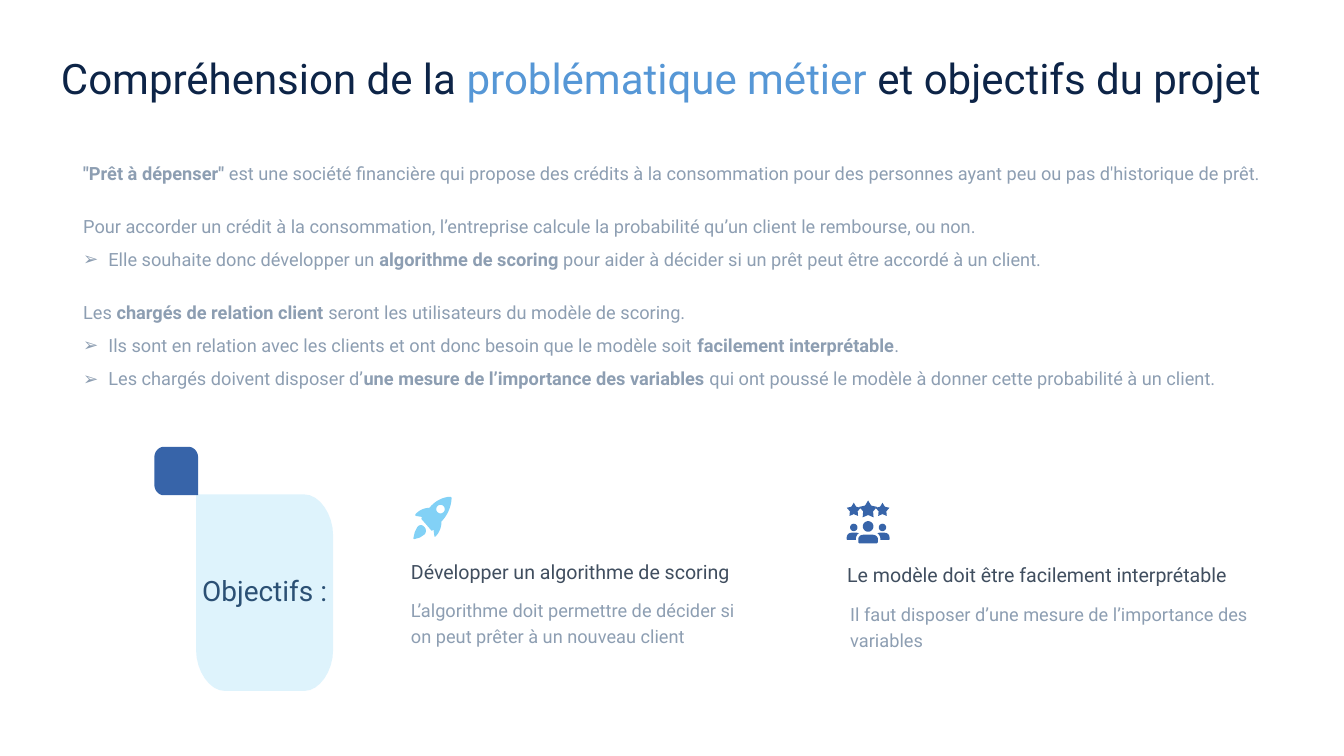
import math
from dataclasses import dataclass

import lxml.etree
import pptx
import pptx.dml.color
import pptx.enum.text
import pptx.oxml.ns
import pptx.util

COLS, ROWS = 80, 45
WIDE, HIGH = pptx.util.Inches(26.67), pptx.util.Inches(15)
ALIGN = pptx.enum.text.PP_ALIGN
ANCHOR = pptx.enum.text.MSO_ANCHOR
FIT = pptx.enum.text.MSO_AUTO_SIZE


@dataclass(frozen=True)
class Theme:
    font: str = "Roboto"
    ink: str = "0D2447"
    accent: str = "5697D6"
    head: str = "404E5F"
    body: str = "8D9EB2"
    blue: str = "3764A9"
    sky: str = "82D1F6"
    title_pt: int = 60
    label_pt: int = 40
    head_pt: int = 28
    body_pt: int = 26


THEME = Theme()

# (bulleted, space before in points, text with bold parts between stars)
STORY = [
    (False, 0, "*\"Prêt à dépenser\"* est une société financière qui propose des crédits "
               "à la consommation pour des personnes ayant peu ou pas d'historique de prêt."),
    (False, 38, "Pour accorder un crédit à la consommation, l’entreprise calcule la "
                "probabilité qu’un client le rembourse, ou non."),
    (True, 10, "Elle souhaite donc développer un *algorithme de scoring* pour aider à "
               "décider si un prêt peut être accordé à un client."),
    (False, 38, "Les *chargés de relation client* seront les utilisateurs du modèle de scoring."),
    (True, 10, "Ils sont en relation avec les clients et ont donc besoin que le modèle "
               "soit* facilement interprétable*."),
    (True, 10, "Les chargés doivent disposer d’*une mesure de l’importance des variables* "
               "qui ont poussé le modèle à donner cette probabilité à un client."),
]


def cells(left, top, wide, high):
    """Turn grid columns and rows into lengths."""
    col, row = WIDE / COLS, HIGH / ROWS
    return [pptx.util.Emu(round(n)) for n in (left * col, top * row, wide * col, high * row)]


def rgb(code):
    return pptx.dml.color.RGBColor.from_string(code)


def place(shape, box):
    shape.left, shape.top, shape.width, shape.height = cells(*box)
    frame = shape.text_frame
    frame.word_wrap = True
    frame.auto_size = FIT.NONE
    frame.vertical_anchor = ANCHOR.TOP
    frame.margin_left = frame.margin_right = pptx.util.Inches(0.06)
    frame.margin_top = frame.margin_bottom = pptx.util.Inches(0.06)
    return frame


def add_run(para, text, size, color, bold=False):
    run = para.add_run()
    run.text = text
    font = run.font
    font.name, font.size, font.bold = THEME.font, pptx.util.Pt(size), bold
    font.color.rgb = rgb(color)


def add_text(slide, box, text, size, color):
    frame = place(slide.shapes.add_textbox(0, 0, 0, 0), box)
    para = frame.paragraphs[0]
    para.line_spacing = 1.2
    add_run(para, text, size, color)
    return frame


def set_bullet(para, mark):
    props = para._p.get_or_add_pPr()
    step = pptx.util.Inches(0.5) if mark else 0
    props.set("marL", str(step))
    props.set("indent", str(-step))
    tag = "a:buChar" if mark else "a:buNone"
    node = lxml.etree.SubElement(props, pptx.oxml.ns.qn(tag))
    if mark:
        node.set("char", mark)


def draw(slide, box, rings, color, alpha=None):
    """Fill closed rings, whose points are shares of the box."""
    left, top, wide, high = cells(*box)
    rings = [[(x * wide, y * high) for x, y in ring] for ring in rings]
    pen = slide.shapes.build_freeform(*rings[0][0], scale=1.0)
    for i, ring in enumerate(rings):
        if i:
            pen.move_to(*ring[0])
        pen.add_line_segments(ring[1:], close=True)
    shape = pen.convert_to_shape(left, top)
    shape.shadow.inherit = False
    shape.fill.solid()
    shape.fill.fore_color.rgb = rgb(color)
    shape.line.fill.background()
    if alpha:
        tint = shape.element.spPr.find(pptx.oxml.ns.qn("a:solidFill"))[0]
        node = lxml.etree.SubElement(tint, pptx.oxml.ns.qn("a:alpha"))
        node.set("val", str(alpha * 1000))


def curve(a, b, c, d, steps=8):
    """Points along a cubic Bezier curve."""
    pts = []
    for i in range(steps + 1):
        t = i / steps
        mix = ((1 - t) ** 3, 3 * t * (1 - t) ** 2, 3 * t * t * (1 - t), t ** 3)
        pts.append(tuple(sum(m * p[k] for m, p in zip(mix, (a, b, c, d))) for k in (0, 1)))
    return pts


def ring(x, y, r, steps=24):
    turn = math.tau / steps
    return [(x + r * math.cos(i * turn), y + r * math.sin(i * turn)) for i in range(steps)]


def star(x, y, r):
    pts = []
    for i in range(10):
        size, turn = (r if i % 2 == 0 else r * 0.56), i * math.pi / 5
        pts.append((x + size * math.sin(turn), y - size * math.cos(turn)))
    return pts


def leaf(square, r=0.21, bend=0.11):
    """Unit box with every corner rounded except the square one."""
    pts = []
    for x, y in ((0, 0), (1, 0), (1, 1), (0, 1)):
        if (x, y) == square:
            pts.append((x, y))
            continue
        sx, sy = 1 - 2 * x, 1 - 2 * y
        arc = curve((x, y + sy * r), (x, y + sy * (r - bend)),
                    (x + sx * (r - bend), y), (x + sx * r, y))
        pts += arc if x == y else arc[::-1]
    return pts


def rocket():
    hull = (curve((74, 0), (59, 0), (42, 9), (32, 22))
            + curve((32, 22), (21, 22), (11, 27), (4, 35))
            + [(4, 37), (5, 38), (17, 40), (16, 44), (36, 67), (38, 67), (40, 65), (42, 79)]
            + curve((44, 79), (52, 71), (56, 60), (56, 49))
            + curve((56, 49), (68, 37), (76, 18), (76, 2)))
    flame = (curve((22, 60), (26, 56), (26, 49), (22, 45))
             [::-1] + curve((22, 60), (19, 75), (3, 84), (0, 84))[::1])
    flame = (curve((8, 60), (12, 55), (18, 55), (22, 60))
             + curve((22, 60), (26, 64), (26, 71), (22, 75))
             + [(13, 81), (2, 84), (0, 83), (3, 70)])
    return [hull, ring(54, 24.5, 8.5), flame]


def crowd():
    side = ([(1, 78), (0, 77)] + curve((0, 74), (0, 68), (4, 64), (10, 64))
            + curve((19, 64), (22, 64), (23, 65), (24, 65))
            + curve((24, 65), (20, 68), (18, 72), (18, 78)))
    chest = ([(25, 85), (23, 83)] + curve((23, 77), (23, 72), (27, 68), (33, 68))
             + curve((52, 68), (57, 68), (62, 72), (62, 77)) + [(62, 83), (60, 85)])
    half = [star(14, 19, 14.5), ring(14, 53.5, 7.3), side]
    twin = [[(85 - x, y) for x, y in part] for part in half]
    return half + twin + [star(42.5, 18.5, 18.5), ring(42.5, 51.5, 10.5), chest]


def fill_title(slide, box):
    frame = place(slide.shapes.title, box)
    para = frame.paragraphs[0]
    para.alignment = ALIGN.LEFT
    text = "Compréhension de la *problématique métier *et objectifs du projet"
    for i, part in enumerate(text.split("*")):
        add_run(para, part, THEME.title_pt, THEME.accent if i % 2 else THEME.ink)


def fill_story(slide, box):
    frame = place(slide.placeholders[1], box)
    for i, (listed, gap, text) in enumerate(STORY):
        para = frame.add_paragraph() if i else frame.paragraphs[0]
        para.line_spacing = 1.2
        para.space_before = pptx.util.Pt(gap)
        set_bullet(para, "➢" if listed else None)
        for k, part in enumerate(text.split("*")):
            if part:
                add_run(para, part, THEME.body_pt, THEME.body, k % 2 == 1)


def add_card(slide, box, icon, color, shift, head, body, inset=0):
    """Icon over a heading and a short text."""
    left, top, wide, high = box
    parts = [[(x / 100, y / 100) for x, y in part] for part in icon]
    draw(slide, (left + shift, top, 3, 3), parts, color)
    add_text(slide, (left, top + 3.28, wide, 2.04), head, THEME.head_pt, THEME.head)
    add_text(slide, (left + inset, top + 5.66, wide, high - 5.66), body,
             THEME.body_pt, THEME.body)


def add_panel(slide, box):
    """Label under a tinted leaf, with a small leaf at its square corner."""
    left, top, wide, high = box
    frame = add_text(slide, (left, top + high * 0.39, wide, 2.31), "Objectifs :",
                     THEME.label_pt, THEME.ink)
    frame.word_wrap = False
    frame.vertical_anchor = ANCHOR.MIDDLE
    frame.paragraphs[0].alignment = ALIGN.CENTER
    frame.paragraphs[0].line_spacing = 1.0
    draw(slide, box, [leaf((0, 0))], THEME.sky, 26)
    draw(slide, (left - 2.48, top - 2.83, 2.6, 2.88), [leaf((1, 1))], THEME.blue)


def main():
    deck = pptx.Presentation()
    deck.slide_width, deck.slide_height = WIDE, HIGH
    slide = deck.slides.add_slide(deck.slide_layouts[1])
    fill_title(slide, (3.45, 2.97, 73.43, 3.36))
    fill_story(slide, (4.77, 9.24, 73.5, 14.2))
    add_card(slide, (50.25, 29.79, 24.2, 8.95), crowd(), THEME.blue, 0.15,
             "Le modèle doit être facilement interprétable",
             "Il faut disposer d’une mesure de l’importance des variables", 0.18)
    add_card(slide, (24.28, 29.57, 20.5, 8.95), rocket(), THEME.sky, 0.32,
             "Développer un algorithme de scoring",
             "L’algorithme doit permettre de décider si on peut prêter à un nouveau client")
    add_panel(slide, (11.67, 29.43, 8.16, 11.7))
    deck.save("out.pptx")


if __name__ == "__main__":
    main()
